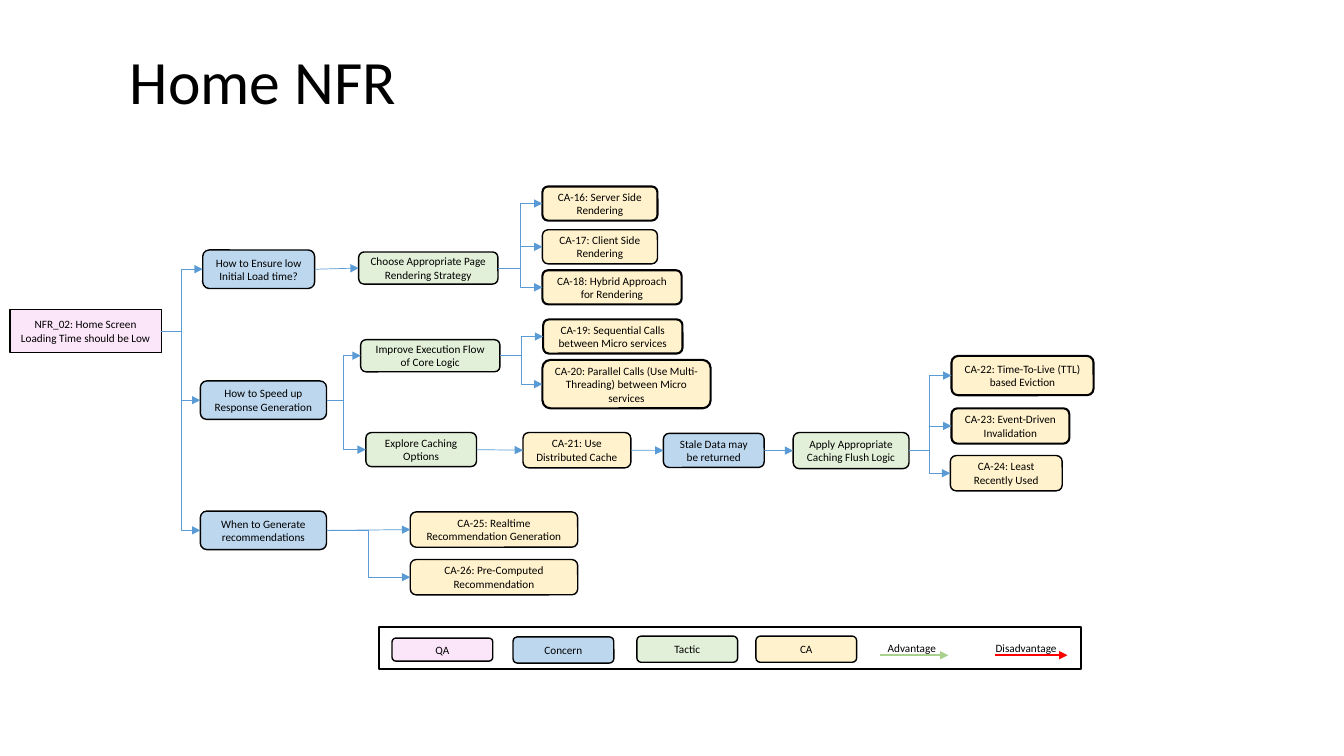
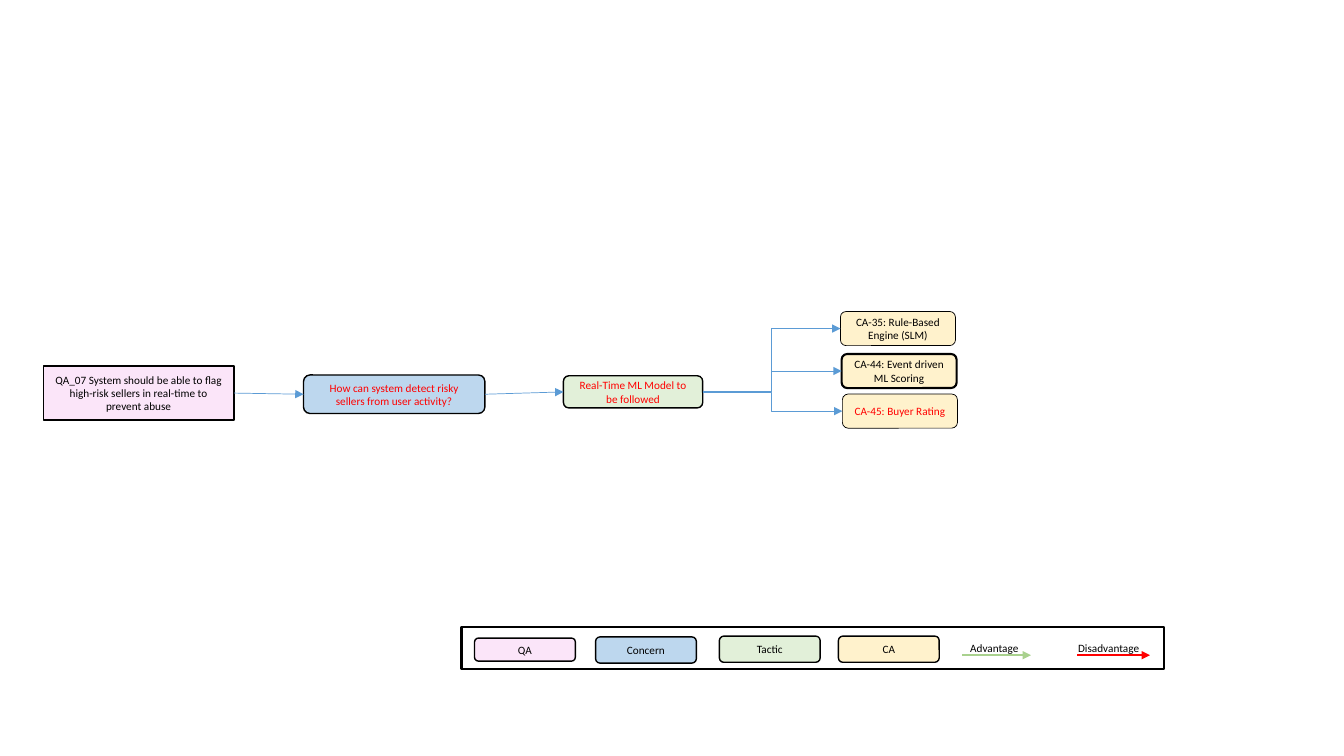
from dataclasses import dataclass

from lxml import etree
from pptx import Presentation
from pptx.dml.color import RGBColor
from pptx.enum.shapes import MSO_CONNECTOR, MSO_SHAPE
from pptx.enum.text import MSO_ANCHOR, PP_ALIGN
from pptx.oxml.ns import qn
from pptx.util import Cm, Pt

RECTANGLE = MSO_SHAPE.RECTANGLE
ROUNDED = MSO_SHAPE.ROUNDED_RECTANGLE
STRAIGHT = MSO_CONNECTOR.STRAIGHT
ELBOW = MSO_CONNECTOR.ELBOW
CENTER = PP_ALIGN.CENTER
LEFT = PP_ALIGN.LEFT
MIDDLE = MSO_ANCHOR.MIDDLE
TOP = MSO_ANCHOR.TOP
LEFT_SITE, RIGHT_SITE = 1, 3
TITLE_ONLY, BLANK = 5, 6


@dataclass(frozen=True)
class Theme:
    font: str = "Calibri"
    title_size: float = 44
    label_size: float = 8
    ink: str = "000000"
    alert: str = "FF0000"
    link: str = "5B9BD5"
    advantage: str = "A9D18E"
    qa: str = "FBE5F9"
    concern: str = "BDD7EE"
    tactic: str = "E2F0D9"
    ca: str = "FFF2CC"
    thin: float = 0.5
    normal: float = 1
    arrow: float = 1.25
    bold: float = 1.5


THEME = Theme()
INK, ALERT = THEME.ink, THEME.alert
THIN, NORMAL, BOLD = THEME.thin, THEME.normal, THEME.bold

TITLE_BOX = (3.02, 1.07, 25.4, 2.11)

HOME = {
    "title": "Home NFR",
    "legend_left": 9.55,
    "nodes": {
        "root": ("qa", "NFR_02: Home Screen Loading Time should be Low", (0.25, 7.8, 3.82, 1.09), NORMAL, INK),
        "load": ("concern", "How to Ensure low Initial Load time?", (5.11, 6.3, 2.82, 0.97), NORMAL, INK),
        "speed": ("concern", "How to Speed up Response Generation", (5.05, 9.6, 3.18, 0.97), NORMAL, INK),
        "when": ("concern", "When to Generate recommendations", (5.05, 12.88, 3.18, 0.97), NORMAL, INK),
        "render": ("tactic", "Choose Appropriate Page Rendering Strategy", (9.04, 6.35, 3.51, 0.81), NORMAL, INK),
        "flow": ("tactic", "Improve Execution Flow of Core Logic", (9.09, 8.56, 3.51, 0.81), NORMAL, INK),
        "cache": ("tactic", "Explore Caching Options", (9.22, 10.9, 2.79, 0.86), NORMAL, INK),
        "ca16": ("ca", "CA-16: Server Side Rendering", (13.67, 4.7, 2.9, 0.86), BOLD, INK),
        "ca17": ("ca", "CA-17: Client Side Rendering", (13.67, 5.79, 2.9, 0.86), NORMAL, INK),
        "ca18": ("ca", "CA-18: Hybrid Approach for Rendering", (13.67, 6.81, 3.51, 0.86), BOLD, INK),
        "ca19": ("ca", "CA-19: Sequential Calls between Micro services", (13.69, 8.05, 3.51, 0.86), BOLD, INK),
        "ca20": ("ca", "CA-20: Parallel Calls (Use Multi-Threading) between Micro services",
                 (13.67, 9.07, 4.24, 1.22), BOLD, INK),
        "ca21": ("ca", "CA-21: Use Distributed Cache", (13.18, 10.9, 2.72, 0.89), NORMAL, INK),
        "stale": ("concern", "Stale Data may be returned", (16.72, 10.92, 2.54, 0.86), NORMAL, INK),
        "flush": ("tactic", "Apply Appropriate Caching Flush Logic", (19.99, 10.9, 2.92, 0.91), NORMAL, INK),
        "ca22": ("ca", "CA-22: Time-To-Live (TTL) based Eviction", (23.98, 8.97, 3.58, 0.99), BOLD, INK),
        "ca23": ("ca", "CA-23: Event-Driven Invalidation", (23.98, 10.29, 2.97, 0.89), BOLD, INK),
        "ca24": ("ca", "CA-24: Least Recently Used", (23.95, 11.48, 2.82, 0.89), NORMAL, INK),
        "ca25": ("ca", "CA-25: Realtime Recommendation Generation", (10.34, 12.9, 4.22, 0.89), NORMAL, INK),
        "ca26": ("ca", "CA-26: Pre-Computed Recommendation", (10.34, 14.1, 4.22, 0.89), NORMAL, INK),
    },
    "links": {
        "root": ["load", "speed", "when"],
        "load": ["render"],
        "speed": ["flow", "cache"],
        "when": ["ca25", "ca26"],
        "render": ["ca16", "ca17", "ca18"],
        "flow": ["ca19", "ca20"],
        "cache": ["ca21"],
        "ca21": ["stale"],
        "stale": ["flush"],
        "flush": ["ca22", "ca23", "ca24"],
    },
}

RISK = {
    "title": None,
    "legend_left": 11.63,
    "nodes": {
        "root": ("qa", "QA_07 System should be able to flag high-risk sellers in real-time to prevent abuse",
                 (1.09, 9.22, 4.81, 1.37), NORMAL, INK),
        "detect": ("concern", "How can system detect risky sellers from user activity?",
                   (7.65, 9.45, 4.57, 0.97), NORMAL, ALERT),
        "model": ("tactic", "Real-Time ML Model to be followed", (14.2, 9.47, 3.51, 0.81), NORMAL, ALERT),
        "ca35": ("ca", "CA-35: Rule-Based Engine (SLM)", (21.18, 7.85, 2.9, 0.86), THIN, INK),
        "ca44": ("ca", "CA-44: Event driven ML Scoring", (21.21, 8.92, 2.9, 0.86), BOLD, INK),
        "ca45": ("ca", "CA-45: Buyer Rating", (21.23, 9.93, 2.9, 0.86), THIN, ALERT),
    },
    "links": {"root": ["detect"], "detect": ["model"], "model": ["ca35", "ca44", "ca45"]},
}

LEGEND_TOP, LEGEND_WIDTH, LEGEND_HEIGHT = 15.8, 17.7, 1.07
LEGEND_KEYS = [
    ("qa", "QA", (0.33, 0.28, 2.54, 0.58)),
    ("concern", "Concern", (3.38, 0.25, 2.54, 0.66)),
    ("tactic", "Tactic", (6.5, 0.23, 2.54, 0.66)),
    ("ca", "CA", (9.5, 0.23, 2.54, 0.66)),
]
LEGEND_ARROWS = [
    ("Advantage", THEME.advantage, (12.62, 14.35), (12.57, 0.23, 1.85, 0.61)),
    ("Disadvantage", THEME.alert, (15.52, 17.35), (15.29, 0.23, 2.44, 0.61)),
]
LEGEND_ARROW_TOP = 0.71


def color(value):
    return RGBColor.from_string(value)


def lengths(box):
    return [Cm(value) for value in box]


def write(shape, text, size, ink=INK, alignment=LEFT, anchor=MIDDLE):
    frame = shape.text_frame
    frame.word_wrap = True
    frame.vertical_anchor = anchor
    paragraph = frame.paragraphs[0]
    paragraph.alignment = alignment
    run = paragraph.add_run()
    run.text = text
    run.font.name = THEME.font
    run.font.size = Pt(size)
    run.font.color.rgb = color(ink)
    return paragraph


def add_box(slide, preset, box, fill, weight):
    shape = slide.shapes.add_shape(preset, *lengths(box))
    shape.shadow.inherit = False
    if fill:
        shape.fill.solid()
        shape.fill.fore_color.rgb = color(fill)
    else:
        shape.fill.background()
    shape.line.color.rgb = color(INK)
    shape.line.width = Pt(weight)
    return shape


def add_node(slide, kind, text, box, weight, ink, preset=ROUNDED):
    shape = add_box(slide, preset, box, getattr(THEME, kind), weight)
    write(shape, text, THEME.label_size, ink, CENTER)
    return shape


def style_arrow(connector, line_color, weight):
    connector.line.color.rgb = color(line_color)
    connector.line.width = Pt(weight)
    properties = connector.element.spPr
    etree.SubElement(properties.find(qn("a:ln")), qn("a:tailEnd"), type="triangle")
    etree.SubElement(properties, qn("a:effectLst"))


def set_bend(connector, ratio):
    geometry = connector.element.spPr.find(qn("a:prstGeom"))
    adjustments = geometry.find(qn("a:avLst"))
    if adjustments is None:
        adjustments = etree.SubElement(geometry, qn("a:avLst"))
    etree.SubElement(adjustments, qn("a:gd"), name="adj1", fmla=f"val {round(ratio * 100000)}")


def middle(shape):
    return shape.top + shape.height // 2


def add_links(slide, parent, children):
    start = parent.left + parent.width
    bend = (min(child.left for child in children) - start) / 2
    for child in children:
        level = abs(middle(parent) - middle(child)) < Cm(0.1)
        connector = slide.shapes.add_connector(
            STRAIGHT if level else ELBOW, start, middle(parent), child.left, middle(child))
        connector.begin_connect(parent, RIGHT_SITE)
        connector.end_connect(child, LEFT_SITE)
        if not level:
            set_bend(connector, bend / (child.left - start))
        style_arrow(connector, THEME.link, THIN)


def add_legend(slide, left):
    def place(box):
        return (left + box[0], LEGEND_TOP + box[1], *box[2:])

    add_box(slide, RECTANGLE, place((0, 0, LEGEND_WIDTH, LEGEND_HEIGHT)), None, BOLD)
    for kind, text, box in LEGEND_KEYS:
        add_node(slide, kind, text, place(box), NORMAL, INK)
    for text, line_color, (start, end), box in LEGEND_ARROWS:
        begin = lengths(place((start, LEGEND_ARROW_TOP)))
        finish = lengths(place((end, LEGEND_ARROW_TOP)))
        arrow = slide.shapes.add_connector(STRAIGHT, *begin, *finish)
        style_arrow(arrow, line_color, THEME.arrow)
        label = slide.shapes.add_textbox(*lengths(place(box)))
        write(label, text, THEME.label_size, anchor=TOP)


def add_title(slide, text):
    title = slide.shapes.title
    title.left, title.top, title.width, title.height = lengths(TITLE_BOX)
    write(title, text, THEME.title_size).line_spacing = 0.9


def build_slide(presentation, content):
    layout = TITLE_ONLY if content["title"] else BLANK
    slide = presentation.slides.add_slide(presentation.slide_layouts[layout])
    if content["title"]:
        add_title(slide, content["title"])
    shapes = {
        name: add_node(slide, *node, preset=RECTANGLE if node[0] == "qa" else ROUNDED)
        for name, node in content["nodes"].items()
    }
    for parent, children in content["links"].items():
        add_links(slide, shapes[parent], [shapes[child] for child in children])
    add_legend(slide, content["legend_left"])


def main():
    presentation = Presentation()
    presentation.slide_width = Cm(33.87)
    presentation.slide_height = Cm(19.05)
    for content in (HOME, RISK):
        build_slide(presentation, content)
    presentation.save("out.pptx")


if __name__ == "__main__":
    main()
